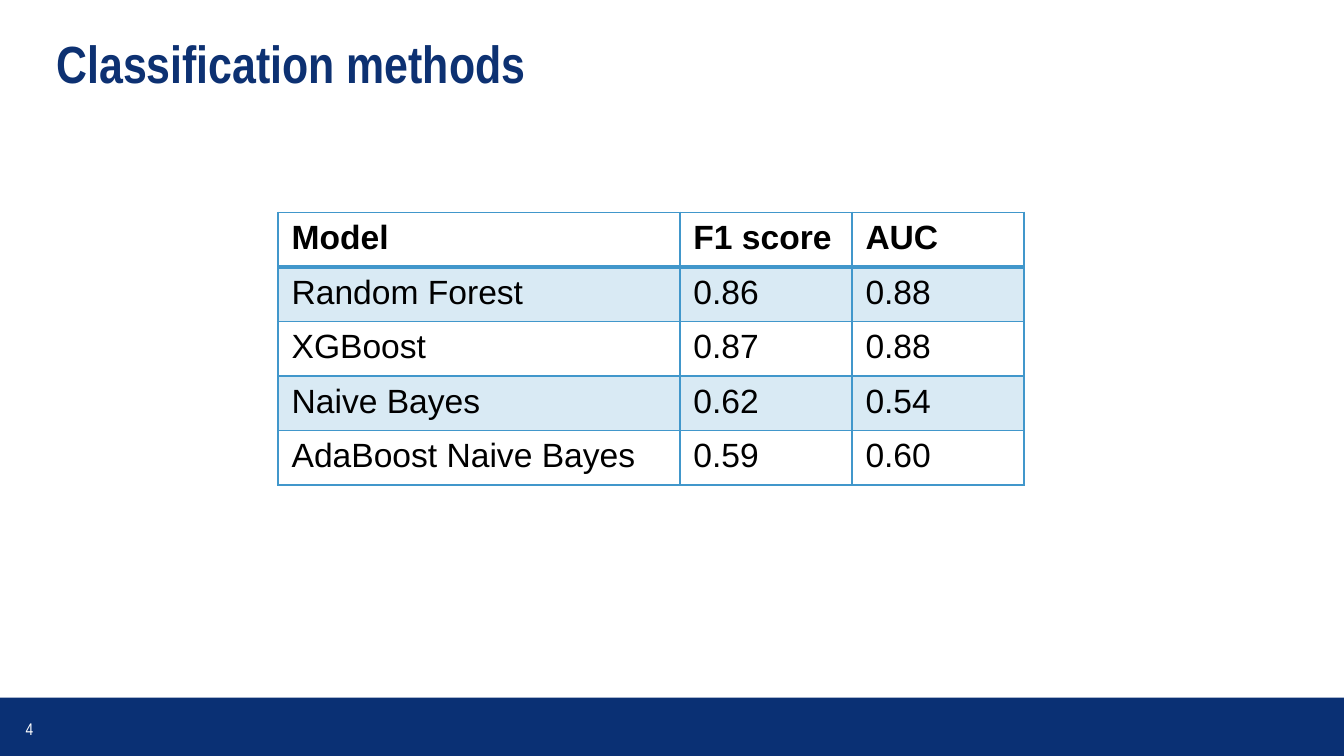
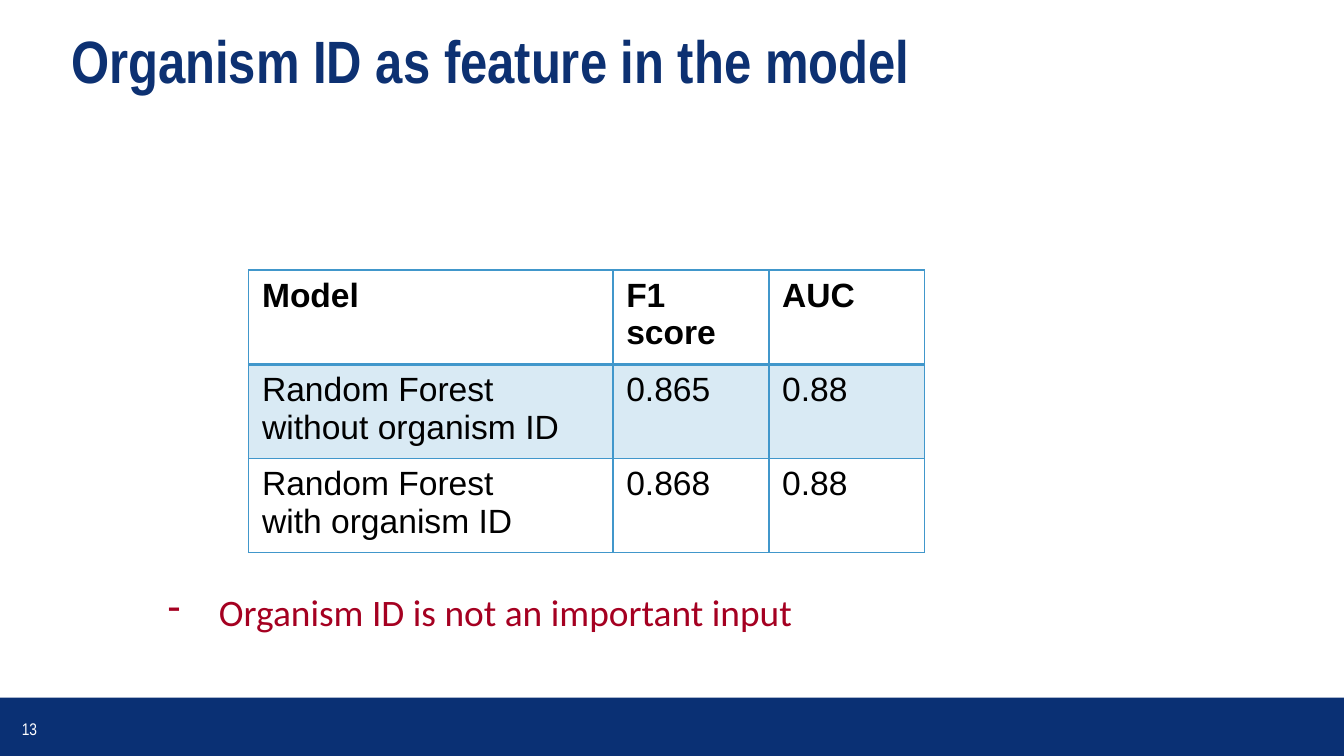
from collections import namedtuple

from lxml import etree
from pptx import Presentation
from pptx.dml.color import RGBColor
from pptx.enum.shapes import MSO_SHAPE
from pptx.enum.text import MSO_ANCHOR, MSO_AUTO_SIZE, PP_ALIGN
from pptx.oxml.ns import qn
from pptx.util import Inches, Pt

RECTANGLE = MSO_SHAPE.RECTANGLE
TOP, MIDDLE = MSO_ANCHOR.TOP, MSO_ANCHOR.MIDDLE
LEFT, CENTER, JUSTIFY = PP_ALIGN.LEFT, PP_ALIGN.CENTER, PP_ALIGN.JUSTIFY
NO_FIT = MSO_AUTO_SIZE.NONE

COLORS = {
    "band": "0A3074",
    "title": "0D3172",
    "table": "4197CB",
    "text": "000000",
    "finding": "A50021",
    "white": "FFFFFF",
}
HEADING_FONT, TABLE_FONT, FINDING_FONT = "Arial Narrow", "Arial", "Calibri"

GRID_COLUMNS, GRID_ROWS = 100, 56.25
SLIDE_WIDTH = Inches(10)
CELL = SLIDE_WIDTH // GRID_COLUMNS
SLIDE_HEIGHT = int(CELL * GRID_ROWS)
TABLE_ROW = 4.06
STRIPE_ALPHA = 20

Box = namedtuple("Box", "left top width height")
FOOTER = Box(0, 51.9, GRID_COLUMNS, GRID_ROWS - 51.9)
HEADER_ROW = ["Model", "F1 score", "AUC"]


def grid(*cells):
    """Turn grid cells into slide lengths."""
    return [round(count * CELL) for count in cells]


def color(name):
    """Return the palette colour with this name."""
    return RGBColor.from_string(COLORS[name])


def write(para, text, font, size, tint, bold=False):
    """Add one formatted run to a paragraph."""
    span = para.add_run()
    span.text = text
    span.font.name = font
    span.font.size = Pt(size)
    span.font.bold = bold
    span.font.color.rgb = color(tint)


def add_panel(page, box, fill):
    """Add a plain filled rectangle."""
    panel = page.shapes.add_shape(RECTANGLE, *grid(*box))
    panel.shadow.inherit = False
    panel.fill.solid()
    panel.fill.fore_color.rgb = color(fill)
    panel.line.fill.background()
    return panel


def add_title(page, box, text, size):
    """Move and format the title placeholder."""
    title = page.shapes.title
    title.left, title.top, title.width, title.height = grid(*box)
    frame = title.text_frame
    frame.auto_size = NO_FIT
    frame.word_wrap = True
    frame.vertical_anchor = TOP
    para = frame.paragraphs[0]
    para.alignment = LEFT
    para.line_spacing = Pt(28)
    para.space_before = Pt(0)
    write(para, text, HEADING_FONT, size, "title", True)


def add_footer(page, box, number):
    """Add the bottom band with the slide number."""
    add_panel(page, box, "band")
    label = page.shapes.add_textbox(*grid(box.left, box.top + 0.3, 4.4, 4))
    frame = label.text_frame
    frame.word_wrap = True
    frame.vertical_anchor = MIDDLE
    para = frame.paragraphs[0]
    para.alignment = CENTER
    write(para, str(number), HEADING_FONT, 9, "white")


def add_borders(cell, row_index):
    """Draw the cell borders, heavier below the header row."""
    properties = cell._tc.get_or_add_tcPr()
    heavy = {(0, "B"), (1, "T")}
    for side in "LRTB":
        width = Pt(2 if (row_index, side) in heavy else 1)
        line = etree.SubElement(properties, qn("a:ln" + side), w=str(width))
        fill = etree.SubElement(line, qn("a:solidFill"))
        etree.SubElement(fill, qn("a:srgbClr"), val=COLORS["table"])


def fill_cell(cell, striped):
    """Give a cell the translucent stripe or no fill."""
    if not striped:
        cell.fill.background()
        return
    cell.fill.solid()
    cell.fill.fore_color.rgb = color("table")
    tint = cell._tc.tcPr.find(qn("a:solidFill")).find(qn("a:srgbClr"))
    etree.SubElement(tint, qn("a:alpha"), val=str(STRIPE_ALPHA * 1000))


def add_scores(page, left, top, widths, models):
    """Add a table of model scores with striped rows."""
    rows = [HEADER_ROW, *models]
    box = Box(left, top, sum(widths), TABLE_ROW * len(rows))
    table = page.shapes.add_table(len(rows), len(widths), *grid(*box)).table
    table.first_row = table.horz_banding = False
    for column, width in zip(table.columns, grid(*widths)):
        column.width = width
    for row_index, row in enumerate(rows):
        for column_index, text in enumerate(row):
            cell = table.cell(row_index, column_index)
            add_borders(cell, row_index)
            fill_cell(cell, row_index % 2 == 1)
            frame = cell.text_frame
            for line_index, line in enumerate(text.split("\n")):
                para = frame.add_paragraph() if line_index else frame.paragraphs[0]
                write(para, line, TABLE_FONT, 18, "text", row_index == 0)


def add_finding(page, box, text):
    """Add a dashed statement below the table."""
    frame = add_panel(page, box, "white").text_frame
    frame.word_wrap = True
    frame.vertical_anchor = MIDDLE
    para = frame.paragraphs[0]
    para.alignment = JUSTIFY
    properties = para._p.get_or_add_pPr()
    indent = Inches(0.38)
    properties.set("marL", str(indent))
    properties.set("indent", str(-indent))
    etree.SubElement(properties, qn("a:buChar"), char="-")
    write(para, text, FINDING_FONT, 20, "finding")


def add_page(deck, number, title_box, title, title_size):
    """Add a slide with its title and footer."""
    page = deck.slides.add_slide(deck.slide_layouts[5])
    add_footer(page, FOOTER, number)
    add_title(page, title_box, title, title_size)
    return page


def build_methods(deck):
    """Build the slide comparing classification methods."""
    page = add_page(deck, 4, Box(3.2, 2.6, 93.6, 11.4), "Classification methods", 28)
    add_scores(page, 20.7, 15.8, [29.9, 12.8, 12.8], [
        ["Random Forest", "0.86", "0.88"],
        ["XGBoost", "0.87", "0.88"],
        ["Naive Bayes", "0.62", "0.54"],
        ["AdaBoost Naive Bayes", "0.59", "0.60"],
    ])


def build_organism(deck):
    """Build the slide on the organism ID feature."""
    page = add_page(deck, 13, Box(4.3, 2.7, 93.6, 11.4),
                    "Organism ID as feature in the model", 32)
    add_scores(page, 18.5, 20.1, [27.1, 11.6, 11.6], [
        ["Random Forest\nwithout organism ID", "0.865", "0.88"],
        ["Random Forest\nwith organism ID", "0.868", "0.88"],
    ])
    add_finding(page, Box(11.5, 42.1, 74.8, 6.8), "Organism ID is not an important input")


def main():
    """Build and save the deck."""
    deck = Presentation()
    deck.slide_width, deck.slide_height = SLIDE_WIDTH, SLIDE_HEIGHT
    build_methods(deck)
    build_organism(deck)
    deck.save("out.pptx")


if __name__ == "__main__":
    main()
